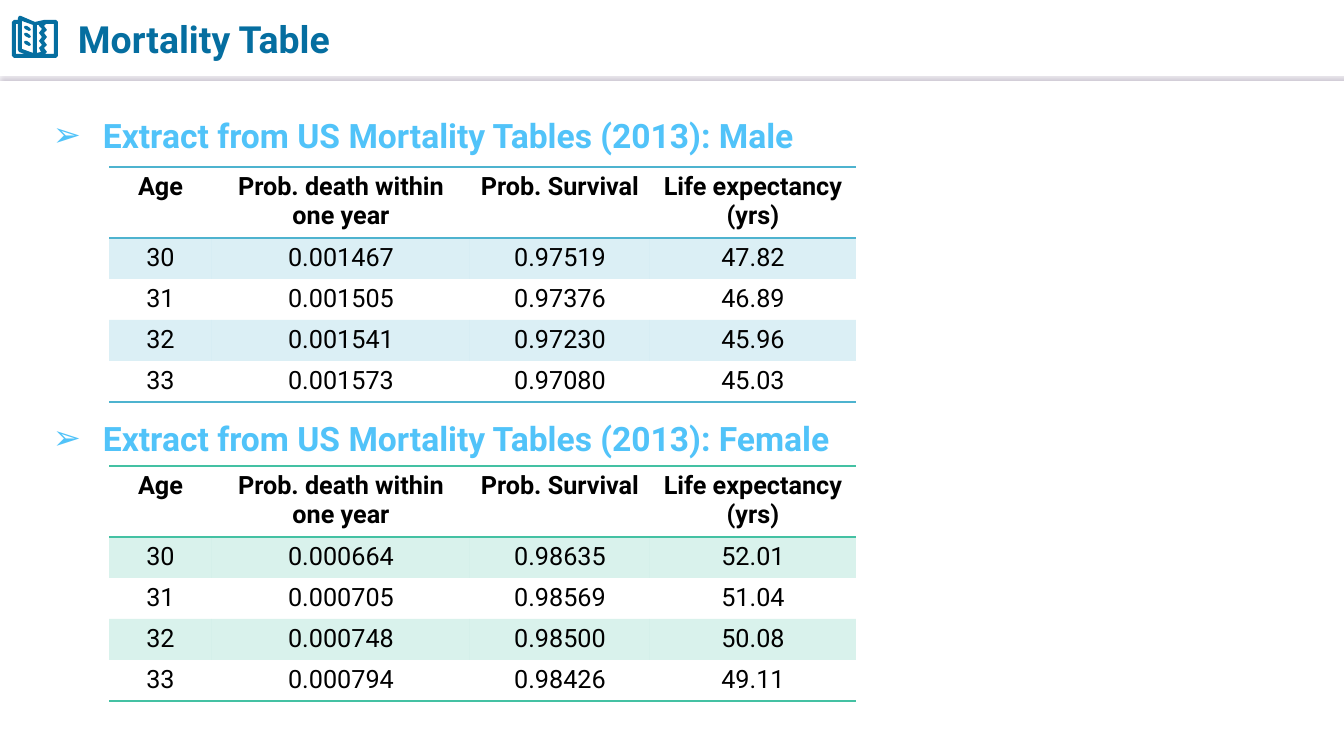
from pptx import Presentation
from pptx.dml.color import RGBColor
from pptx.enum.shapes import MSO_CONNECTOR
from pptx.enum.text import MSO_ANCHOR, PP_ALIGN
from pptx.oxml import parse_xml
from pptx.oxml.ns import nsdecls, qn
from pptx.util import Emu, Pt

SCALE = 914400 / 100.8  # EMU in one px
FONT = "Roboto"
PLAIN = "{2D5ABB26-0587-4C30-8999-92F81FD0307C}"  # table style without grid
COLORS = {
    "title": "056EA0",
    "head": "51C3F9",
    "male": "4EB3CF",
    "female": "44C1A3",
    "text": "000000",
    "rule": "FFFFFF",
    "shade": "BCB4C4",
}

WIDTHS = [103, 258, 180, 206]
HEIGHTS = [71, 41, 41, 41, 41]
HEADER = ["Age", "Prob. death within one year", "Prob. Survival", "Life expectancy (yrs)"]
MALE = [
    ["30", "0.001467", "0.97519", "47.82"],
    ["31", "0.001505", "0.97376", "46.89"],
    ["32", "0.001541", "0.97230", "45.96"],
    ["33", "0.001573", "0.97080", "45.03"],
]
FEMALE = [
    ["30", "0.000664", "0.98635", "52.01"],
    ["31", "0.000705", "0.98569", "51.04"],
    ["32", "0.000748", "0.98500", "50.08"],
    ["33", "0.000794", "0.98426", "49.11"],
]

# Book icon: cover, then the pages cut out of it, then the text marks
BOOK = [
    [(21, 16), (35, 22), (44, 20), (56, 20), (58, 22), (58, 56), (56, 58), (14, 58),
     (12, 56), (12, 22), (14, 20), (18, 20), (18, 18), (19, 16)],
    [(16, 24), (16, 54), (25, 54), (19, 52), (18, 50), (18, 24)],
    [(22, 21), (22, 49), (33, 53), (33, 25)],
    [(37, 25), (37, 53), (41, 52), (39, 48), (42, 45), (39, 41), (42, 37), (39, 33),
     (42, 29), (39, 26), (39, 25)],
    [(46, 24), (44, 26), (47, 30), (44, 33), (47, 37), (44, 41), (47, 45), (44, 48),
     (47, 52), (45, 54), (54, 54), (54, 24)],
]
MARK = [(25, 26), (27, 26), (30, 28), (31, 30), (29, 31), (25, 29), (24, 27)]
BOOK += [[(x, y + drop) for x, y in MARK] for drop in (0, 7, 15)]


def px(*sizes):
    return [Emu(round(size * SCALE)) for size in sizes]


def rgb(name):
    return RGBColor.from_string(COLORS[name])


def write(para, text, size=18, color="text", bold=False, align=None, bullet=None,
          lines=None, before=None):
    if bullet:
        props = para._p.get_or_add_pPr()
        indent = px(50)[0]
        props.set("marL", str(indent))
        props.set("indent", str(-indent))
        props.append(parse_xml(f'<a:buFont {nsdecls("a")} typeface="Arial"/>'))
        props.append(parse_xml(f'<a:buChar {nsdecls("a")} char="{bullet}"/>'))
    para.alignment = align
    para.line_spacing = lines
    para.space_before = before
    run = para.add_run()
    run.text = text
    run.font.name = FONT
    run.font.size = Pt(size)
    run.font.bold = bold
    run.font.color.rgb = rgb(color)


def add_box(slide, *place, anchor=MSO_ANCHOR.TOP):
    frame = slide.shapes.add_textbox(*px(*place)).text_frame
    frame.word_wrap = True
    frame.vertical_anchor = anchor
    return frame


def add_rule(slide, y):
    line = slide.shapes.add_connector(MSO_CONNECTOR.STRAIGHT, *px(0, y, 1344, y))
    line.line.color.rgb = rgb("rule")
    line.line.width = Pt(0.75)
    line._element.spPr.append(parse_xml(
        f'<a:effectLst {nsdecls("a")}>'
        f'<a:outerShdw blurRad="{Pt(1)}" dist="{Pt(3)}" dir="5400000" algn="t" rotWithShape="0">'
        f'<a:srgbClr val="{COLORS["shade"]}"/></a:outerShdw></a:effectLst>'))


def add_icon(slide, loops):
    pen = slide.shapes.build_freeform(*loops[0][0], scale=SCALE)
    for loop in loops:
        if loop is not loops[0]:
            pen.move_to(*loop[0])
        pen.add_line_segments(loop[1:], close=True)
    icon = pen.convert_to_shape()
    icon.shadow.inherit = False
    icon.fill.solid()
    icon.fill.fore_color.rgb = rgb("title")
    icon.line.fill.background()


def add_edge(cell, side, color):
    cell._tc.get_or_add_tcPr().append(parse_xml(
        f'<a:{side} {nsdecls("a")} w="{Pt(1)}"><a:solidFill>'
        f'<a:srgbClr val="{COLORS[color]}"/></a:solidFill></a:{side}>'))


def tint(cell, color):
    cell.fill.solid()
    cell.fill.fore_color.rgb = rgb(color)
    shade = cell._tc.tcPr.find(qn("a:solidFill")).find(qn("a:srgbClr"))
    shade.append(parse_xml(f'<a:alpha {nsdecls("a")} val="20000"/>'))


def add_grid(slide, top, rows, color):
    rows = [HEADER] + rows
    place = px(109, top, sum(WIDTHS), sum(HEIGHTS))
    grid = slide.shapes.add_table(len(rows), len(HEADER), *place).table
    grid._tbl.tblPr.find(qn("a:tableStyleId")).text = PLAIN
    for col, width in zip(grid.columns, px(*WIDTHS)):
        col.width = width
    for row, height in zip(grid.rows, px(*HEIGHTS)):
        row.height = height
    for r, row in enumerate(rows):
        for c, text in enumerate(row):
            cell = grid.cell(r, c)
            write(cell.text_frame.paragraphs[0], text, bold=r == 0, align=PP_ALIGN.CENTER)
            if r == 0:
                add_edge(cell, "lnT", color)
            if r in (0, len(rows) - 1):
                add_edge(cell, "lnB", color)
            if r % 2:
                tint(cell, color)
            else:
                cell.fill.background()


def main():
    deck = Presentation()
    deck.slide_width, deck.slide_height = px(1344, 756)
    slide = deck.slides.add_slide(deck.slide_layouts[6])

    # Title band
    add_rule(slide, 74)
    add_icon(slide, BOOK)
    title = add_box(slide, 68, 7, 742, 64, anchor=MSO_ANCHOR.MIDDLE)
    write(title.paragraphs[0], "Mortality Table", size=26.7, color="title", bold=True)

    # Headings, the second one set below the first table
    body = add_box(slide, 43, 90, 1257, 624)
    look = dict(size=24, color="head", bold=True, bullet="➢", lines=1.5)
    write(body.paragraphs[0], "Extract from US Mortality Tables (2013): Male", **look)
    write(body.add_paragraph(), "Extract from US Mortality Tables (2013): Female",
          before=Pt(173), **look)

    # Tables
    add_grid(slide, 466, FEMALE, "female")
    add_grid(slide, 167, MALE, "male")

    deck.save("out.pptx")


if __name__ == "__main__":
    main()
